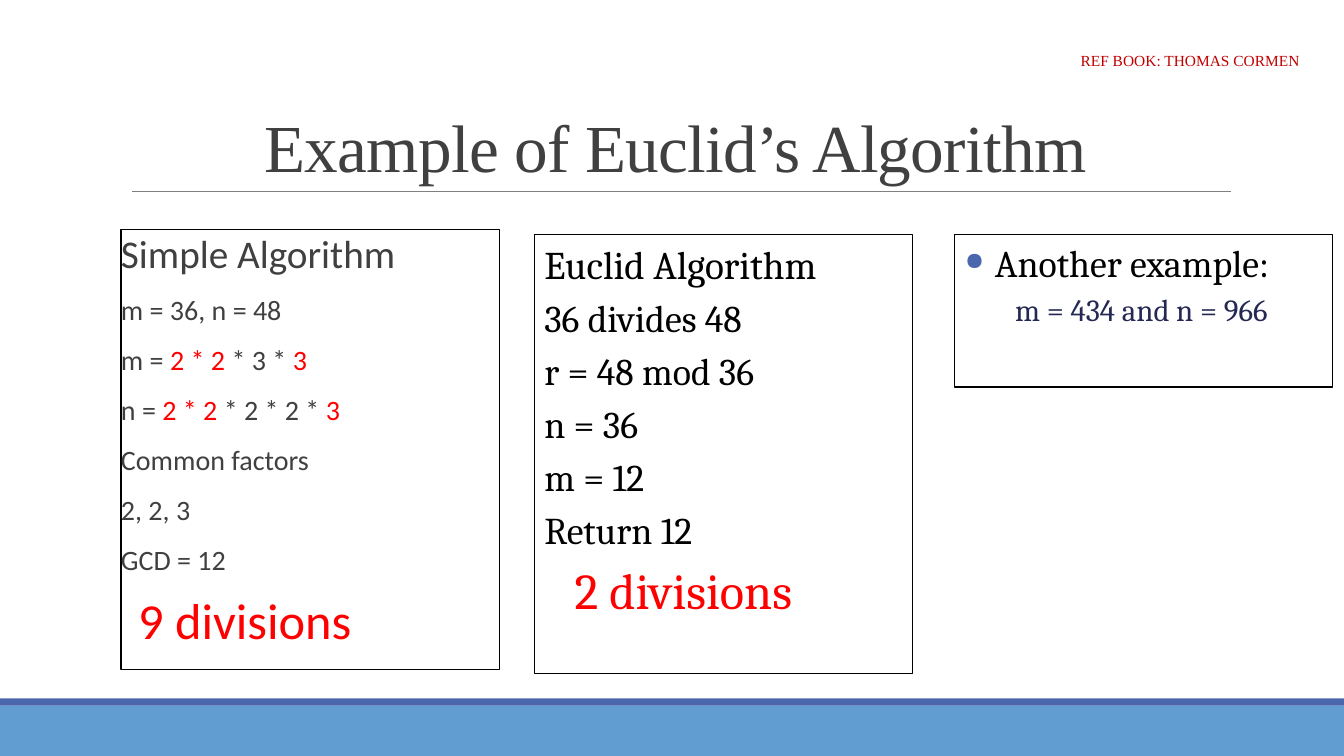
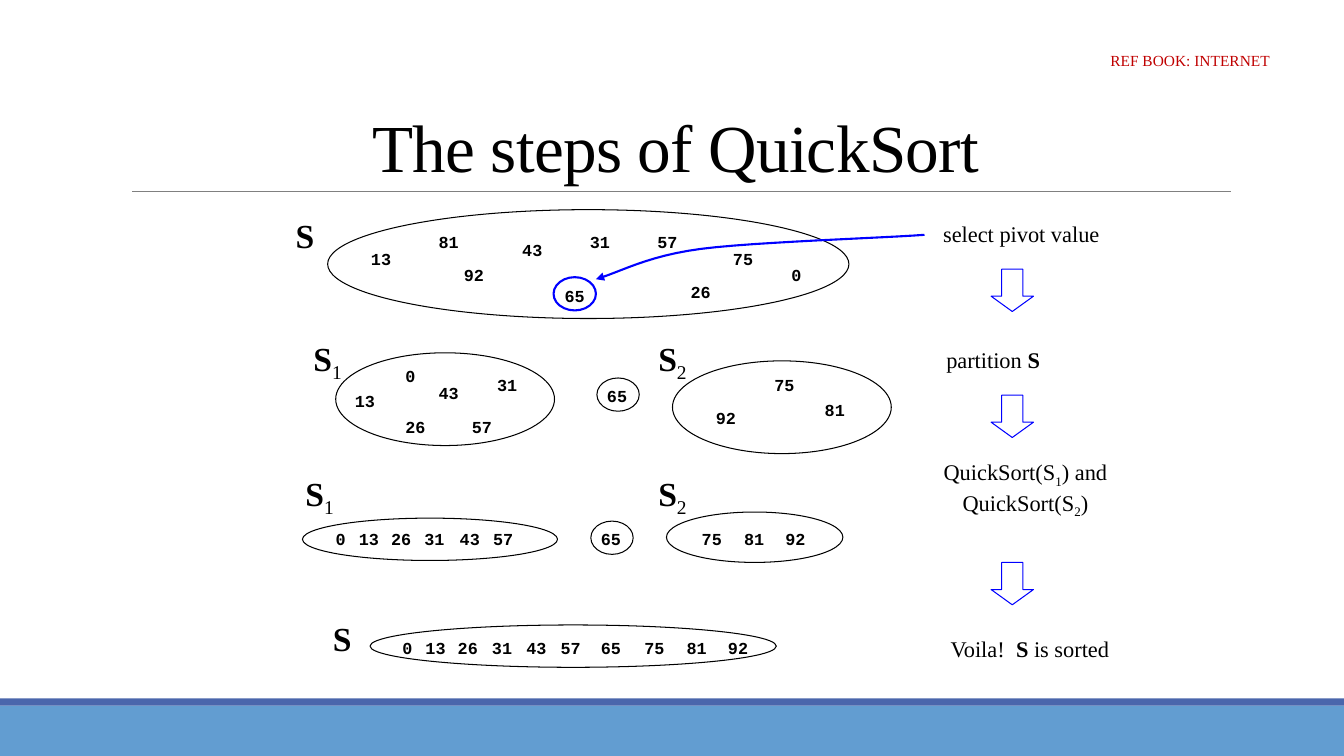
from lxml import etree
from pptx import Presentation
from pptx.dml.color import RGBColor
from pptx.enum.shapes import MSO_CONNECTOR, MSO_SHAPE
from pptx.enum.text import MSO_ANCHOR, PP_ALIGN
from pptx.oxml.ns import qn
from pptx.util import Inches, Pt

RECT, OVAL, DOWN = MSO_SHAPE.RECTANGLE, MSO_SHAPE.OVAL, MSO_SHAPE.DOWN_ARROW
LEFT, MID = PP_ALIGN.LEFT, PP_ALIGN.CENTER
TOP, CENTER, BASE = MSO_ANCHOR.TOP, MSO_ANCHOR.MIDDLE, MSO_ANCHOR.BOTTOM
rgb = RGBColor.from_string

BLACK, WHITE, GREY, RED, BLUE = "000000", "FFFFFF", "404040", "FF0000", "0000FF"
ACCENT, BAND, NAVY, DARK = "4A66AC", "629DD1", "242852", "C00000"
SERIF = "Times New Roman"


def draw(slide, kind, box, fill=None, line=None, width=0.75):
    shape = slide.shapes.add_shape(kind, *map(Inches, box))
    shape.shadow.inherit = False
    if fill:
        shape.fill.solid()
        shape.fill.fore_color.rgb = rgb(fill)
    else:
        shape.fill.background()
    if line:
        shape.line.color.rgb = rgb(line)
        shape.line.width = Pt(width)
    else:
        shape.line.fill.background()
    return shape


def write(frame, paras, font, frmt, anchor=CENTER, wrap=True):
    """Each paragraph is a list of (text, font changes) runs."""
    frame.word_wrap = wrap
    frame.vertical_anchor = anchor
    for i, runs in enumerate(paras):
        para = frame.paragraphs[0] if i == 0 else frame.add_paragraph()
        for key, val in frmt.items():
            setattr(para, key, val)
        for text, change in runs:
            run = para.add_run()
            run.text = text
            for key, val in {**font, **change}.items():
                if key == "color":
                    run.font.color.rgb = rgb(val)
                elif key in ("baseline", "spc"):
                    run._r.get_or_add_rPr().set(key, str(val))
                else:
                    setattr(run.font, key, val)


prs = Presentation()
prs.slide_width, prs.slide_height = Inches(13.33), Inches(7.5)

# Shared frame: bands, rule, title and reference
slides = []
for title, hue, ref in [
    ("Example of Euclid’s Algorithm", GREY, "REF BOOK: THOMAS CORMEN"),
    ("The steps of QuickSort", BLACK, "REF BOOK: INTERNET"),
]:
    slide = prs.slides.add_slide(prs.slide_layouts[5])
    slides.append(slide)
    draw(slide, RECT, (0, 7, 13.33, 0.5), BAND)
    draw(slide, RECT, (0, 6.93, 13.33, 0.07), ACCENT)
    rule = slide.shapes.add_connector(
        MSO_CONNECTOR.STRAIGHT, Inches(1.31), Inches(1.9), Inches(12.21), Inches(1.9))
    rule.line.color.rgb = rgb("808080")
    rule.line.width = Pt(0.5)
    etree.SubElement(rule._element.spPr, qn("a:effectLst"))

    head = slide.shapes.title
    head.left, head.top, head.width, head.height = map(Inches, (1.2, 0.31, 11, 1.59))
    write(head.text_frame, [[(title, {})]],
          {"name": SERIF, "size": Pt(48), "color": hue, "spc": -50},
          {"alignment": MID, "line_spacing": 0.85}, BASE)
    note = slide.shapes.add_textbox(*map(Inches, (10.59, 0.33, 2.43, 0.54)))
    write(note.text_frame, [[(ref, {})]],
          {"name": SERIF, "size": Pt(11), "color": DARK}, {"alignment": MID})
euclid, sort = slides

# Euclid: three panels
red, big = {"color": RED}, {"size": Pt(28)}
total = {"size": Pt(36), "color": RED}
simple = [
    [("Simple Algorithm", big)],
    [("m = 36, n = 48", {})],
    [("m = ", {}), ("2 * 2 ", red), ("* 3 * ", {}), ("3", red)],
    [("n = ", {}), ("2 * 2 ", red), ("* 2 * 2 * ", {}), ("3", red)],
    [("Common factors", {})],
    [("2, 2, 3", {})],
    [("GCD = 12", {})],
    [("9 divisions", total)],
]
steps = [[("Euclid Algorithm", big)]]
steps += [[(text, {})] for text in
          ("36 divides 48", "r = 48 mod 36", "n = 36", "m = 12", "Return 12")]
steps += [[("2 divisions", total)]]
more = [[("Another example:", {})],
        [("m = 434 and n = 966", {"size": Pt(22), "color": NAVY})]]

sans = {"name": "Calibri", "size": Pt(20), "color": GREY}
book = {"name": "Cambria", "size": Pt(27), "color": BLACK}
loose = {"alignment": LEFT, "line_spacing": 0.9,
         "space_before": Pt(12), "space_after": Pt(2)}
tight = {"alignment": LEFT, "space_before": Pt(5.4)}
panels = []
for box, paras, font, frmt in [
    ((1.2, 2.28, 3.75, 4.36), simple, sans, loose),
    ((5.3, 2.33, 3.75, 4.35), steps, book, tight),
    ((9.47, 2.33, 3.75, 1.51), more, book, tight),
]:
    frame = draw(euclid, RECT, box, line=BLACK).text_frame
    write(frame, paras, font, frmt, TOP)
    panels.append(frame)
panels[0].margin_left = panels[0].margin_right = 0
panels[2].paragraphs[1].space_before = Pt(4)

# Indents, and the bullet of the last panel
for para, left, first in [
    (panels[0].paragraphs[-1], 0.17, 0),
    (panels[1].paragraphs[-1], 0.3, 0),
    (panels[2].paragraphs[0], 0.3, -0.3),
    (panels[2].paragraphs[1], 0.5, 0),
]:
    props = para._p.get_or_add_pPr()
    props.set("marL", str(Inches(left)))
    props.set("indent", str(Inches(first)))
props = panels[2].paragraphs[0]._p.get_or_add_pPr()
tint = etree.SubElement(props, qn("a:buClr"))
etree.SubElement(tint, qn("a:srgbClr"), val=ACCENT)
etree.SubElement(props, qn("a:buSzPct"), val="65000")
etree.SubElement(props, qn("a:buChar"), char="●")

# QuickSort: sets and pivots
for box, fill, line, width in [
    ((3.25, 2.08, 5.17, 1.08), WHITE, BLACK, 0.75),
    ((5.49, 2.75, 0.42, 0.33), None, BLUE, 1.5),
    ((3.33, 3.5, 2.17, 0.92), WHITE, BLACK, 0.75),
    ((5.92, 3.75, 0.42, 0.33), None, BLACK, 0.75),
    ((6.67, 3.58, 2.17, 0.92), None, BLACK, 0.75),
    ((3, 5.14, 2.53, 0.42), WHITE, BLACK, 0.75),
    ((5.86, 5.17, 0.42, 0.33), None, BLACK, 0.75),
    ((6.61, 5.08, 1.75, 0.5), None, BLACK, 0.75),
    ((3.67, 6.2, 4.03, 0.42), WHITE, BLACK, 0.75),
]:
    draw(sort, OVAL, box, fill, line, width)

# Numbers: value, middle x, top y
spots = [
    (13, 3.78, 2.42), (81, 4.45, 2.25), (92, 4.7, 2.58), (43, 5.28, 2.33),
    (65, 5.7, 2.78), (31, 5.95, 2.25), (57, 6.62, 2.25), (26, 6.95, 2.75),
    (75, 7.37, 2.42), (0, 7.9, 2.58),
    (13, 3.62, 3.83), (81, 8.28, 3.92), (92, 7.2, 4), (43, 4.45, 3.75),
    (65, 6.12, 3.78), (31, 5.03, 3.67), (57, 4.78, 4.08), (26, 4.12, 4.08),
    (75, 7.78, 3.67), (0, 4.07, 3.58),
]
order = sorted(num for num, x, y in spots[:10])
for y, mids in [
    (5.2, (3.38, 3.66, 3.98, 4.31, 4.66, 4.99, 6.06, 7.06, 7.48, 7.89)),
    (6.28, (4.04, 4.32, 4.64, 4.98, 5.32, 5.66, 6.06, 6.49, 6.91, 7.32)),
]:
    spots += [(num, x, y) for num, x in zip(order, mids)]
code = {"name": "Courier New", "size": Pt(12), "bold": True, "color": BLACK}
for num, x, y in spots:
    cell = sort.shapes.add_textbox(*map(Inches, (x - 0.2, y, 0.4, 0.3)))
    write(cell.text_frame, [[(str(num), {})]], code, {"alignment": MID}, wrap=False)

# Set names and step captions
name = {"name": SERIF, "size": Pt(24), "bold": True, "color": BLACK}
step = {"name": SERIF, "size": Pt(16), "color": BLACK}
bold, sub = {"bold": True}, {"bold": False, "baseline": -25000}
whole = [[("S", {})]]
low, high = [[("S", {}), (num, sub)] for num in "12"]
for box, paras, font in [
    ((2.83, 2.08, 0.39, 0.5), whole, name),
    ((3, 3.33, 0.5, 0.5), [low], name),
    ((6.42, 3.33, 0.5, 0.5), [high], name),
    ((2.92, 4.67, 0.5, 0.5), [low], name),
    ((6.42, 4.67, 0.5, 0.5), [high], name),
    ((3.2, 6.08, 0.39, 0.5), whole, name),
    ((9.25, 2.13, 1.76, 0.37), [[("select pivot value", {})]], step),
    ((9.28, 3.38, 1.14, 0.37), [[("partition ", {}), ("S", bold)]], step),
    ((9.25, 4.53, 1.84, 0.64),
     [[("QuickSort(S", {}), ("1", sub), (") and", {})],
      [("QuickSort(S", {}), ("2", sub), (")", {})]], step),
    ((9.31, 6.25, 1.81, 0.37),
     [[("Voila!  ", {}), ("S", bold), (" is sorted", {})]], step),
]:
    label = sort.shapes.add_textbox(*map(Inches, box))
    write(label.text_frame, paras, font, {"alignment": MID}, wrap=False)

# Curved arrow to the pivot, traced along two Bezier arcs
arcs = [((9.17, 2.33), (8.8, 2.36), (7.49, 2.4), (6.95, 2.47)),
        ((6.95, 2.47), (6.41, 2.54), (6.13, 2.71), (5.91, 2.77))]
dots = []
for arc in arcs:
    for i in range(1, 13):
        t = i / 12
        parts = ((1 - t) ** 3, 3 * t * (1 - t) ** 2, 3 * t * t * (1 - t), t ** 3)
        dots.append([Inches(sum(w * p[axis] for w, p in zip(parts, arc)))
                     for axis in (0, 1)])
pen = sort.shapes.build_freeform(*map(Inches, arcs[0][0]))
pen.add_line_segments(dots, close=False)
curve = pen.convert_to_shape()
curve.shadow.inherit = False
curve.fill.background()
curve.line.color.rgb = rgb(BLUE)
curve.line.width = Pt(1.5)
etree.SubElement(curve.line._get_or_add_ln(), qn("a:tailEnd"), type="triangle")

# Arrows between the steps
for y in (2.67, 3.92, 5.58):
    arrow = draw(sort, DOWN, (9.83, y, 0.42, 0.42), line=BLUE)
    arrow.adjustments[1] = 0.36

prs.save("out.pptx")
